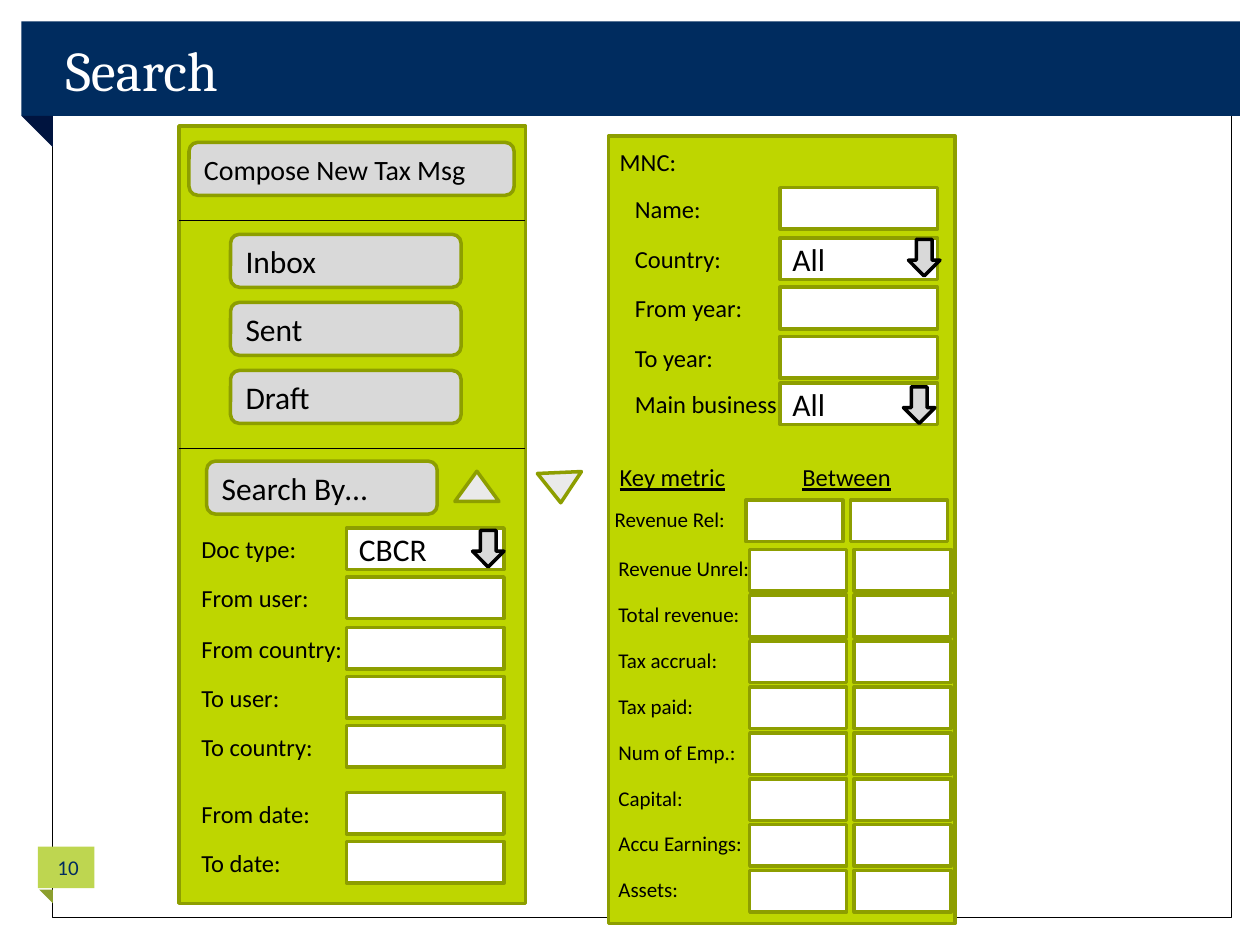
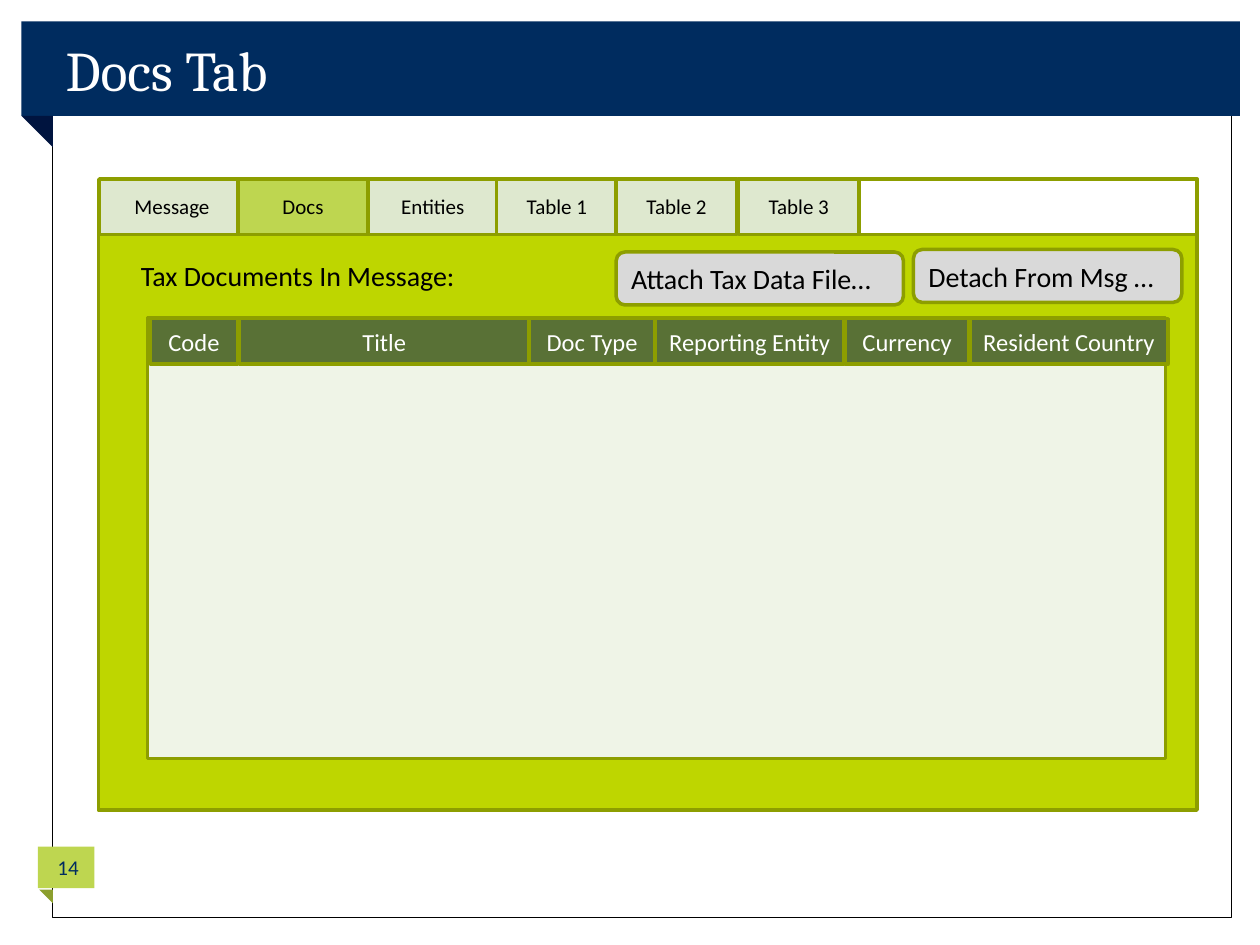
import pptx
import pptx.util
import pptx.dml.color
import pptx.enum.shapes
import pptx.enum.text
import lxml.etree

Inches = pptx.util.Inches
Pt = pptx.util.Pt
color = pptx.dml.color.RGBColor.from_string
SHAPE = pptx.enum.shapes.MSO_SHAPE
ANCHOR = pptx.enum.text.MSO_ANCHOR
ALIGN = pptx.enum.text.PP_ALIGN
AUTO_SIZE = pptx.enum.text.MSO_AUTO_SIZE

NAVY, DARK_NAVY = "002C5F", "00143F"
LEAF, DARK_LEAF = "BED650", "8C9F2E"
LIME, OLIVE = "BED600", "8D9E00"
BUTTON, TAB, HEADER, BODY = "D9D9D9", "DEE8CF", "597136", "EFF4E7"
BLACK, WHITE = "000000", "FFFFFF"
BODY_FONT, TITLE_FONT = "Calibri", "Cambria"


def add_box(slide, kind, at, fill, line=OLIVE, line_width=2, text="", size=18,
            text_color=BLACK, align=ALIGN.LEFT):
    shape = slide.shapes.add_shape(kind, *map(Inches, at))
    shape.shadow.inherit = False
    if fill:
        shape.fill.solid()
        shape.fill.fore_color.rgb = color(fill)
    else:
        shape.fill.background()
    if line:
        shape.line.color.rgb = color(line)
        shape.line.width = Pt(line_width)
    else:
        shape.line.fill.background()
    if text:
        shape.text_frame.text = text
        shape.text_frame.vertical_anchor = ANCHOR.MIDDLE
        paragraph = shape.text_frame.paragraphs[0]
        paragraph.alignment = align
        paragraph.font.name = BODY_FONT
        paragraph.font.size = Pt(size)
        paragraph.font.color.rgb = color(text_color)
    return shape


def add_label(slide, text, left, top, width, size=14, text_color=BLACK):
    height = 0.1 + size * 0.017
    label = slide.shapes.add_textbox(*map(Inches, (left, top, width, height)))
    label.text_frame.word_wrap = False
    label.text_frame.auto_size = AUTO_SIZE.SHAPE_TO_FIT_TEXT
    label.text_frame.text = text
    paragraph = label.text_frame.paragraphs[0]
    paragraph.font.name = BODY_FONT
    paragraph.font.size = Pt(size)
    paragraph.font.color.rgb = color(text_color)
    return label


presentation = pptx.Presentation()
presentation.slide_width = Inches(10)
presentation.slide_height = Inches(7.5)

# Shared frame, title band and page number
slides = []
for title_text, number in (("Search", "10"), ("Docs Tab", "14")):
    slide = presentation.slides.add_slide(presentation.slide_layouts[5])
    slides.append(slide)
    add_box(slide, SHAPE.RECTANGLE, (0.42, 0.5, 9.35, 6.78), None, BLACK, 0.5)
    for band, band_color, fold, fold_color in (
            ((0.17, 0.17, 9.67, 0.75), NAVY, (0.17, 0.92, 0.25, 0.25), DARK_NAVY),
            ((0.3, 6.72, 0.45, 0.33), LEAF, (0.31, 7.06, 0.11, 0.11), DARK_LEAF)):
        add_box(slide, SHAPE.RECTANGLE, band, band_color, None)
        add_box(slide, SHAPE.RIGHT_TRIANGLE, fold, fold_color, None).rotation = 180

    title = slide.shapes.title
    title.element.getparent().append(title.element)  # bring in front of the band
    title.left, title.top = Inches(0.42), Inches(0.17)
    title.width, title.height = Inches(9.25), Inches(0.75)
    title.text_frame.text = title_text
    title.text_frame.vertical_anchor = ANCHOR.MIDDLE
    paragraph = title.text_frame.paragraphs[0]
    paragraph.alignment = ALIGN.LEFT
    paragraph.font.name = TITLE_FONT
    paragraph.font.size = Pt(32)
    paragraph.font.color.rgb = color(WHITE)

    page_number = add_label(slide, number, 0.33, 6.68, 0.42, 12, NAVY)
    page_number.text_frame.auto_size = AUTO_SIZE.NONE
    page_number.height = Inches(0.4)
    page_number.text_frame.vertical_anchor = ANCHOR.MIDDLE
    page_number.text_frame.paragraphs[0].alignment = ALIGN.CENTER

search_slide, docs_slide = slides

# Search: the two panels
add_box(search_slide, SHAPE.RECTANGLE, (1.42, 1, 2.75, 6.17), LIME)
add_box(search_slide, SHAPE.RECTANGLE, (4.83, 1.08, 2.75, 6.25), LIME)

# Search: buttons and dividers of the left panel
for text, left, top, width, size in (
        ("Compose New Tax Msg", 1.5, 1.13, 2.58, 16),
        ("Inbox", 1.83, 1.86, 1.83, 18),
        ("Sent", 1.83, 2.4, 1.83, 18),
        ("Draft", 1.83, 2.94, 1.83, 18),
        ("Search By…", 1.64, 3.66, 1.83, 18)):
    add_box(search_slide, SHAPE.FLOWCHART_ALTERNATE_PROCESS,
            (left, top, width, 0.42), BUTTON, text=text, size=size)

for top in (1.75, 3.56):
    divider = search_slide.shapes.add_connector(
        pptx.enum.shapes.MSO_CONNECTOR.STRAIGHT,
        Inches(1.42), Inches(top), Inches(4.17), Inches(top))
    divider.line.color.rgb = color(BLACK)
    divider.line.width = Pt(0.75)
    lxml.etree.SubElement(divider.element.spPr, pptx.oxml.ns.qn("a:effectLst"))

# Search: triangles that fold the search form up and down
for left, top, rotation in ((3.61, 3.74, 0), (4.27, 3.75, 177.5)):
    triangle = add_box(search_slide, SHAPE.FLOWCHART_EXTRACT,
                       (left, top, 0.35, 0.24), "EAEAEA")
    triangle.rotation = rotation

# Search: labelled fields of both panels (label, label width, top, value)
document_fields = (
    ("Doc type:", 0.96, 4.19, "CBCR"), ("From user:", 1.06, 4.58, ""),
    ("From country:", 1.33, 4.98, ""), ("To user:", 0.83, 5.37, ""),
    ("To country:", 1.1, 5.76, ""), ("From date:", 1.07, 6.29, ""),
    ("To date:", 0.84, 6.68, ""))
company_fields = (
    ("Name:", 0.73, 1.49, ""), ("Country:", 0.89, 1.89, "All"),
    ("From year:", 1.06, 2.28, ""), ("To year:", 0.83, 2.67, ""),
    ("Main business", 1.34, 3.04, "All"))
for fields, label_left, field_left in ((document_fields, 1.5, 2.75),
                                       (company_fields, 4.94, 6.19)):
    for label, label_width, top, value in fields:
        add_label(search_slide, label, label_left, top, label_width)
        add_box(search_slide, SHAPE.RECTANGLE, (field_left, top, 1.25, 0.33),
                WHITE, text=value)

for left, top in ((3.75, 4.21), (7.21, 1.9), (7.17, 3.07)):
    add_box(search_slide, SHAPE.DOWN_ARROW, (left, top, 0.25, 0.29), BUTTON, BLACK)

# Search: headings and key metrics of the right panel
add_label(search_slide, "MNC:", 4.82, 1.12, 0.65)
for heading, left, width in (("Key metric", 4.82, 1.04), ("Between", 6.27, 0.9)):
    label = add_label(search_slide, heading, left, 3.62, width)
    label.text_frame.paragraphs[0].font.underline = True

metrics = (("Revenue Rel:", 1.09), ("Revenue Unrel:", 1.25), ("Total revenue:", 1.17),
           ("Tax accrual:", 1), ("Tax paid:", 0.8), ("Num of Emp.:", 1.14),
           ("Capital:", 0.72), ("Accu Earnings:", 1.19), ("Assets:", 0.68))
for row, (metric, label_width) in enumerate(metrics):
    if row == 0:
        top, label_left, low_left = 3.97, 4.78, 5.92
    else:
        top, label_left, low_left = 4.36 + (row - 1) * 2.55 / 7, 4.81, 5.95
    add_label(search_slide, metric, label_left, top, label_width, 12)
    for left in (low_left, low_left + 0.83):
        add_box(search_slide, SHAPE.RECTANGLE, (left, top, 0.77, 0.33), WHITE)

# Docs Tab: panel and tab strip, with the active tab in front
add_box(docs_slide, SHAPE.RECTANGLE, (0.78, 1.43, 8.72, 5), LIME)
for text, left, width, fill in (
        ("Message", 0.79, 1.15, TAB), ("Entities", 2.92, 1.03, TAB),
        ("", 6.55, 2.95, WHITE), ("Table 1", 3.94, 0.96, TAB),
        ("Table 2", 4.89, 0.96, TAB), ("Table 3", 5.86, 0.96, TAB),
        ("Docs", 1.89, 1.03, LEAF)):
    add_box(docs_slide, SHAPE.RECTANGLE, (left, 1.42, width, 0.44), fill,
            text=text, size=12, align=ALIGN.CENTER)

# Docs Tab: heading and buttons
add_label(docs_slide, "Tax Documents In Message:", 1.02, 2, 2.72, 16)
for text, left, top, width in (("Attach Tax Data File…", 4.89, 2, 2.28),
                               ("Detach From Msg …", 7.25, 1.98, 2.13)):
    add_box(docs_slide, SHAPE.FLOWCHART_ALTERNATE_PROCESS, (left, top, width, 0.42),
            BUTTON, text=text, size=16)

# Docs Tab: empty document list with its column headers
add_box(docs_slide, SHAPE.RECTANGLE, (1.17, 2.52, 8.08, 3.5), BODY)
for text, left, width in (
        ("Code", 1.19, 0.7), ("Title", 1.9, 2.3), ("Doc Type", 4.2, 1),
        ("Reporting Entity", 5.2, 1.5), ("Currency", 6.71, 0.98),
        ("Resident Country", 7.7, 1.57)):
    add_box(docs_slide, SHAPE.RECTANGLE, (left, 2.53, width, 0.36), HEADER,
            text=text, size=14, text_color=WHITE, align=ALIGN.CENTER)

presentation.save("out.pptx")
